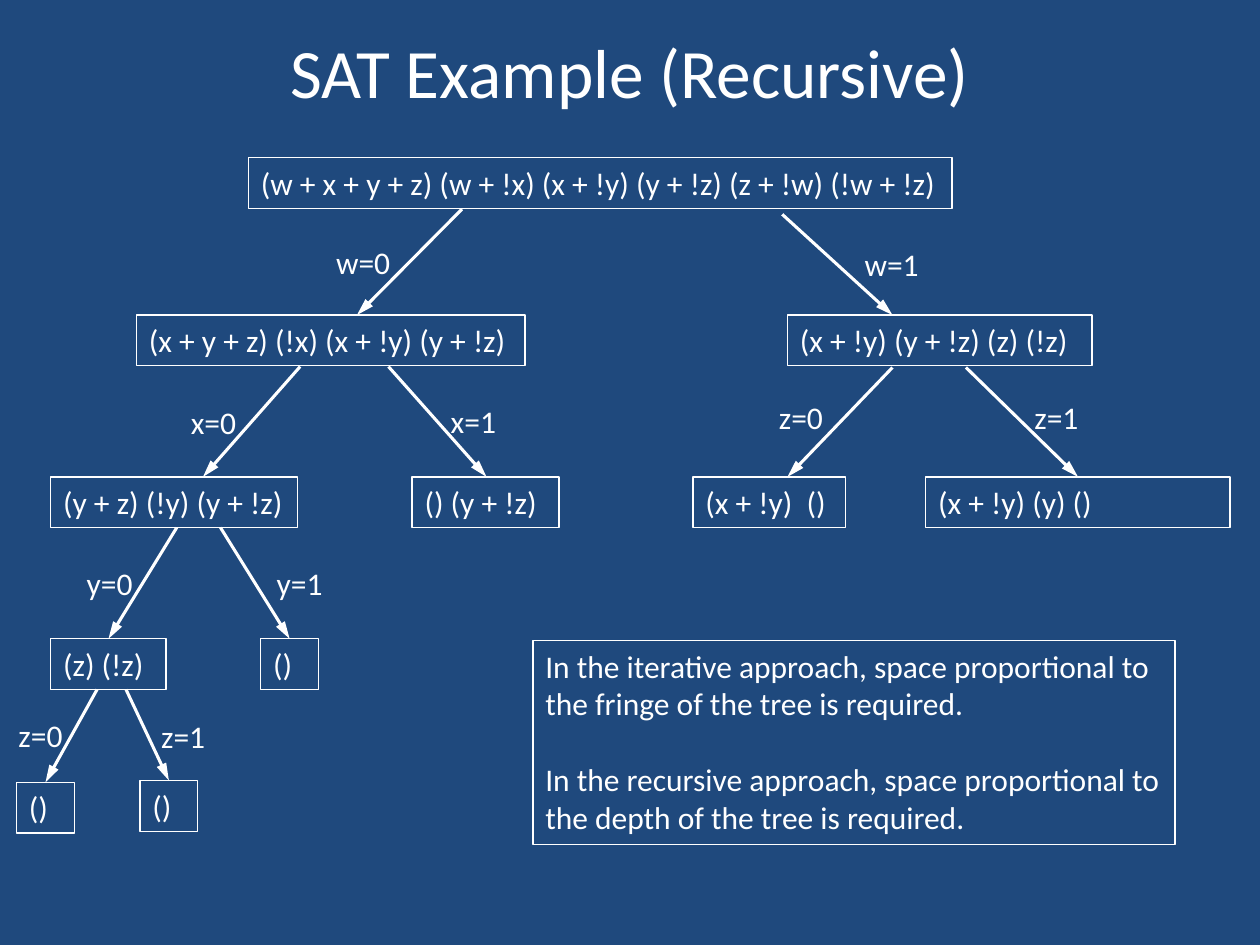
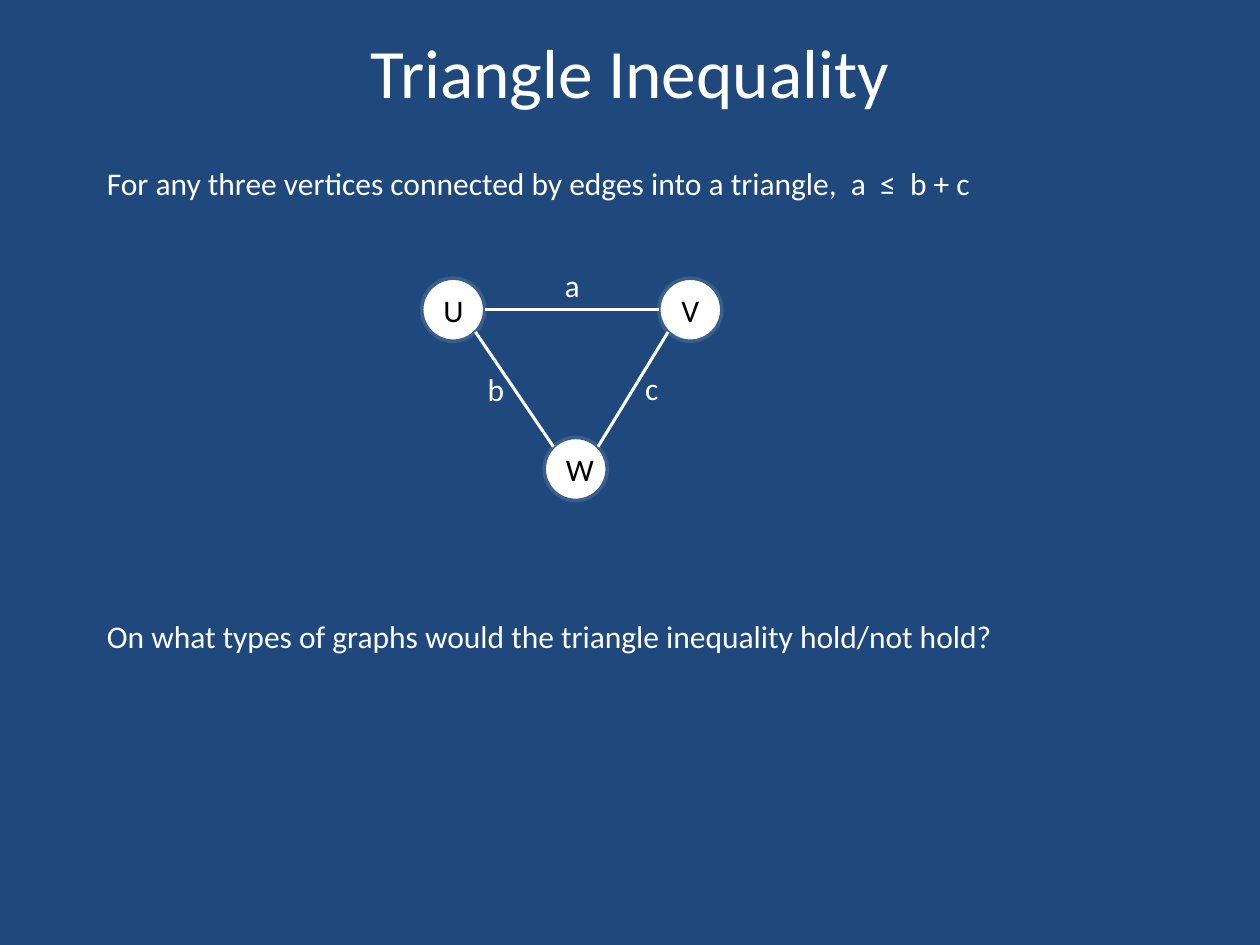
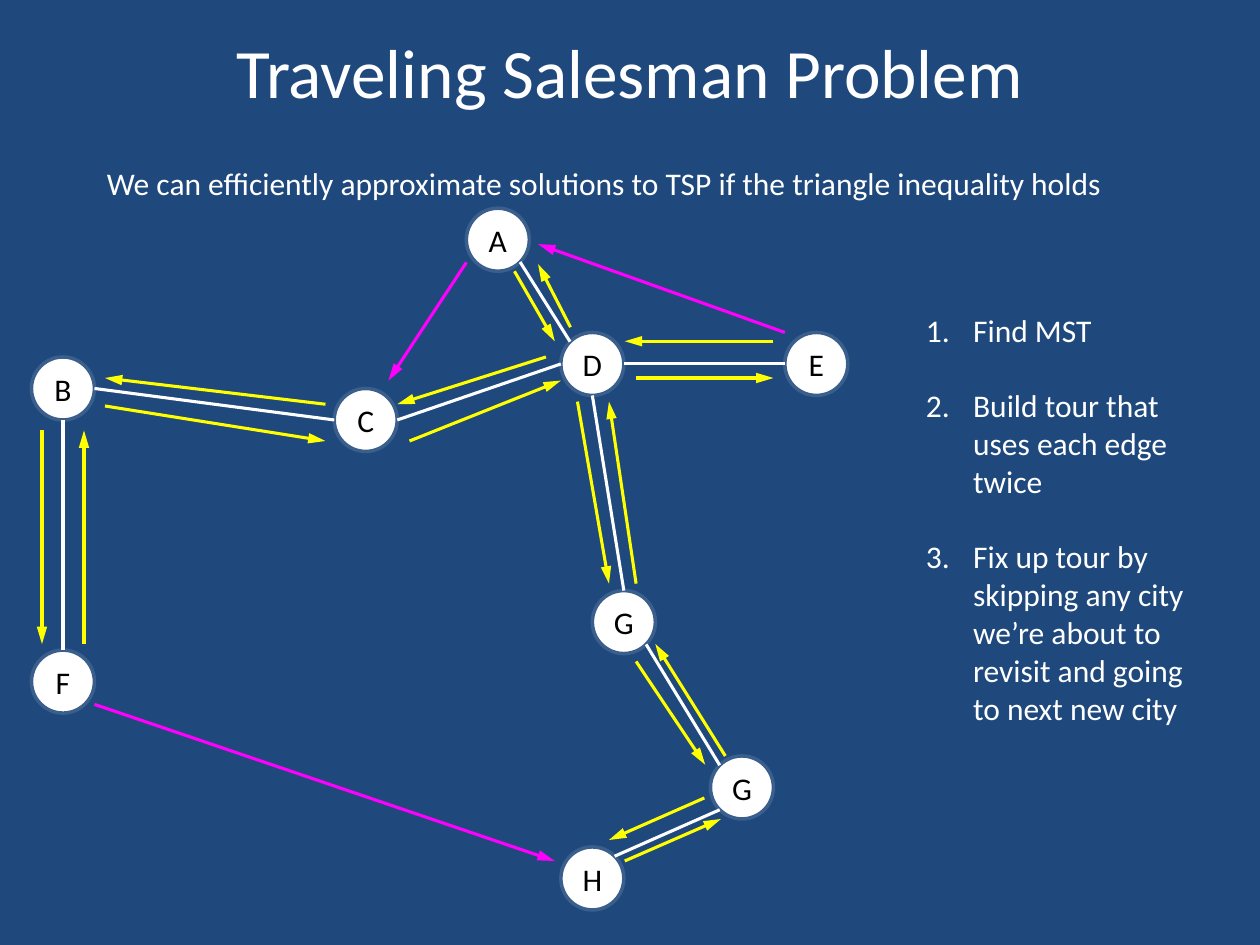
from math import sqrt
from lxml.etree import SubElement
from pptx import Presentation
from pptx.dml.color import RGBColor
from pptx.enum.shapes import MSO_CONNECTOR, MSO_SHAPE
from pptx.enum.text import MSO_ANCHOR, PP_ALIGN
from pptx.oxml.ns import qn
from pptx.util import Pt

COLORS = {"background": "1F497D", "white": "FFFFFF", "black": "000000",
          "node rim": "3A5F8C", "tour": "FFFF00", "shortcut": "FF00FF"}
FONT = "Calibri"
BODY_SIZE = 18
ROW_HEIGHT = 29
BLANK_LINE = 21.6


def write(shape, paragraphs, size=BODY_SIZE, color="white", align=PP_ALIGN.LEFT,
          anchor=MSO_ANCHOR.TOP, gap=0, wrap=True):
    """Fill a shape with paragraphs, with a gap between them."""
    frame = shape.text_frame
    frame.word_wrap = wrap
    frame.vertical_anchor = anchor
    frame.text = "\n".join(paragraphs)
    for number, paragraph in enumerate(frame.paragraphs):
        paragraph.alignment = align
        paragraph.space_before = Pt(gap if number else 0)
        paragraph.font.name = FONT
        paragraph.font.size = Pt(size)
        paragraph.font.color.rgb = RGBColor.from_string(COLORS[color])


def draw_line(slide, x1, y1, x2, y2, color="white", arrow=False):
    """Draw a straight line, with an arrowhead at its end if wanted."""
    line = slide.shapes.add_connector(MSO_CONNECTOR.STRAIGHT, Pt(x1), Pt(y1), Pt(x2), Pt(y2))
    line.line.width = Pt(1.75)
    line.line.color.rgb = RGBColor.from_string(COLORS[color])
    if arrow:
        SubElement(line.line._get_or_add_ln(), qn("a:tailEnd"), type="triangle", len="lg")
    SubElement(line._element.spPr, qn("a:effectLst"))


deck = Presentation()
deck.slide_width, deck.slide_height = Pt(720), Pt(540)

# Backgrounds and titles
slides = []
for title in ("SAT Example (Recursive)", "Triangle Inequality", "Traveling Salesman Problem"):
    slide = deck.slides.add_slide(deck.slide_layouts[6])
    slide.background.fill.solid()
    slide.background.fill.fore_color.rgb = RGBColor.from_string(COLORS["background"])
    heading = slide.shapes.add_textbox(Pt(36), Pt(12.5), Pt(648), Pt(56))
    write(heading, [title], size=39.6, align=PP_ALIGN.CENTER, anchor=MSO_ANCHOR.MIDDLE)
    slides.append(slide)
sat, triangle, salesman = slides

# SAT: formulas left after each choice, and the note on space
formulas = [
    (142, 90, 402, ROW_HEIGHT, ["(w + x + y + z) (w + !x) (x + !y) (y + !z) (z + !w) (!w + !z)"]),
    (78, 180, 222, ROW_HEIGHT, ["(x + y + z) (!x) (x + !y) (y + !z)"]),
    (450, 180, 174, ROW_HEIGHT, ["(x + !y) (y + !z) (z) (!z)"]),
    (29, 272.5, 141, ROW_HEIGHT, ["(y + z) (!y) (y + !z)"]),
    (235.5, 272.5, 84, ROW_HEIGHT, ["() (y + !z)"]),
    (396, 272.5, 87, ROW_HEIGHT, ["(x + !y)  ()"]),
    (529, 272.5, 174, ROW_HEIGHT, ["(x + !y) (y) ()"]),
    (29, 365, 66, ROW_HEIGHT, ["(z) (!z)"]),
    (149, 365, 33, ROW_HEIGHT, ["()"]),
    (9.5, 447, 33, ROW_HEIGHT, ["()"]),
    (80, 446, 33, ROW_HEIGHT, ["()"]),
    (304.5, 366, 367, 116.5,
     ["In the iterative approach, space proportional to the fringe of the tree is required.",
      "In the recursive approach, space proportional to the depth of the tree is required."]),
]
for left, top, width, height, lines in formulas:
    formula = sat.shapes.add_shape(MSO_SHAPE.RECTANGLE, Pt(left), Pt(top), Pt(width), Pt(height))
    formula.shadow.inherit = False
    formula.fill.background()
    formula.line.width = Pt(0.75)
    formula.line.color.rgb = RGBColor.from_string(COLORS["white"])
    write(formula, lines, gap=BLANK_LINE)

# SAT: branches as (choice, label left, top, width, arrow from, arrow to)
branches = [
    ("w=0", 185, 135.5, 47, (264, 119.5), (204, 180)),
    ("w=1", 487, 136.5, 47, (447, 122.5), (510, 180)),
    ("x=0", 102, 227, 42, (171.5, 209.5), (116, 272.5)),
    ("x=1", 250.5, 226, 42, (222, 209.5), (278, 272.5)),
    ("z=0", 438, 224, 42, (510, 210), (450, 272.5)),
    ("z=1", 584, 224, 42, (552, 210), (616, 272.5)),
    ("y=0", 42.5, 319, 42, (101, 301.5), (62, 365)),
    ("y=1", 151, 319, 42, (126, 301.5), (165.5, 365)),
    ("z=0", 3.5, 405.5, 42, (55.5, 394), (26, 447)),
    ("z=1", 85, 406, 42, (72, 394), (96.5, 446)),
]
for choice, left, top, width, start, end in branches:
    draw_line(sat, *start, *end, arrow=True)
    label = sat.shapes.add_textbox(Pt(left), Pt(top), Pt(width), Pt(ROW_HEIGHT))
    write(label, [choice], wrap=False)

# Triangle and salesman: statements
statement = triangle.shapes.add_textbox(Pt(54), Pt(90), Pt(606), Pt(422))
write(statement, ["For any three vertices connected by edges into a triangle,  a  ≤  b + c",
                  "On what types of graphs would the triangle inequality hold/not hold?"], gap=237.5)
statement = salesman.shapes.add_textbox(Pt(54), Pt(90), Pt(606), Pt(ROW_HEIGHT))
write(statement, ["We can efficiently approximate solutions to TSP if the triangle inequality holds"])

# Graphs: vertex centres, and edges between compass points on the vertex rims
RADIUS = 18
DIAGONAL = RADIUS / sqrt(2)
RIM = {"N": (0, -RADIUS), "E": (RADIUS, 0), "S": (0, RADIUS), "W": (-RADIUS, 0),
       "NE": (DIAGONAL, -DIAGONAL), "SE": (DIAGONAL, DIAGONAL),
       "SW": (-DIAGONAL, DIAGONAL), "NW": (-DIAGONAL, -DIAGONAL)}
graphs = [
    (triangle,
     {"U": (259, 177), "V": (394.5, 177), "W": (329, 268)},
     ["U SE W NW", "V SW W NE", "V W U E"]),
    (salesman,
     {"A": (284.5, 137), "B": (36, 222), "C": (209, 240), "D": (338.5, 208), "E": (466.5, 208),
      "F": (36, 389.5), "G": (356.5, 355.5), "G2": (424, 450), "H": (338.5, 502)},
     ["B S F N", "B E C W", "C E D W", "D NW A SE", "E W D E", "G N D S", "G2 NW G SE",
      "H NE G2 SW"]),
]
for slide, vertices, edges in graphs:
    for vertex, (x, y) in vertices.items():
        circle = slide.shapes.add_shape(MSO_SHAPE.OVAL, Pt(x - RADIUS), Pt(y - RADIUS),
                                        Pt(2 * RADIUS), Pt(2 * RADIUS))
        circle.shadow.inherit = False
        circle.fill.solid()
        circle.fill.fore_color.rgb = RGBColor.from_string(COLORS["white"])
        circle.line.width = Pt(2)
        circle.line.color.rgb = RGBColor.from_string(COLORS["node rim"])
        write(circle, [vertex[0]], color="black", align=PP_ALIGN.CENTER, anchor=MSO_ANCHOR.MIDDLE)
    for edge in edges:
        first, first_side, second, second_side = edge.split()
        draw_line(slide,
                  vertices[first][0] + RIM[first_side][0], vertices[first][1] + RIM[first_side][1],
                  vertices[second][0] + RIM[second_side][0],
                  vertices[second][1] + RIM[second_side][1])

# Triangle: edge lengths
for length, left, top in (("a", 315.5, 148.5), ("b", 271.5, 208), ("c", 361.5, 207.5)):
    label = triangle.shapes.add_textbox(Pt(left), Pt(top), Pt(24), Pt(ROW_HEIGHT))
    write(label, [length], wrap=False)

# Salesman: steps of the method
steps = salesman.shapes.add_textbox(Pt(522), Pt(174), Pt(174), Pt(269))
write(steps, ["Find MST", "Build tour that uses each edge twice",
              "Fix up tour by skipping any city we’re about to revisit and going to next new city"],
      gap=BLANK_LINE)
for step in steps.text_frame.paragraphs:
    properties = step._p.get_or_add_pPr()
    properties.set("marL", str(Pt(27)))
    properties.set("indent", str(-Pt(27)))
    # Numbering belongs before the default run properties
    default_run = properties.find(qn("a:defRPr"))
    numbering = SubElement(properties, qn("a:buAutoNum"), type="arabicPeriod")
    if default_run is not None:
        default_run.addprevious(numbering)

# Salesman: the tour along each edge twice, then the shortcuts
routes = {
    "tour": [
        (357, 492, 412, 468), (414.5, 432, 374.5, 368), (363.5, 333.5, 348, 229.5),
        (363.5, 216, 442, 216), (442, 195, 357, 195), (326, 187, 307.5, 151),
        (294, 155, 317, 195), (312, 204, 227, 231), (186, 231, 60, 216),
        (24, 246, 24, 368), (48, 368, 48, 246), (60, 232, 186, 252),
        (234, 252, 320.5, 217.5), (330, 229.5, 348, 333.5), (363.5, 378, 403, 437),
        (402.5, 456, 348, 480),
    ],
    "shortcut": [(448.5, 190, 307.5, 139.5), (266.5, 150, 222, 217.5), (54, 402.5, 317, 492)],
}
for route, arrows in routes.items():
    for arrow in arrows:
        draw_line(salesman, *arrow, color=route, arrow=True)

deck.save("out.pptx")
